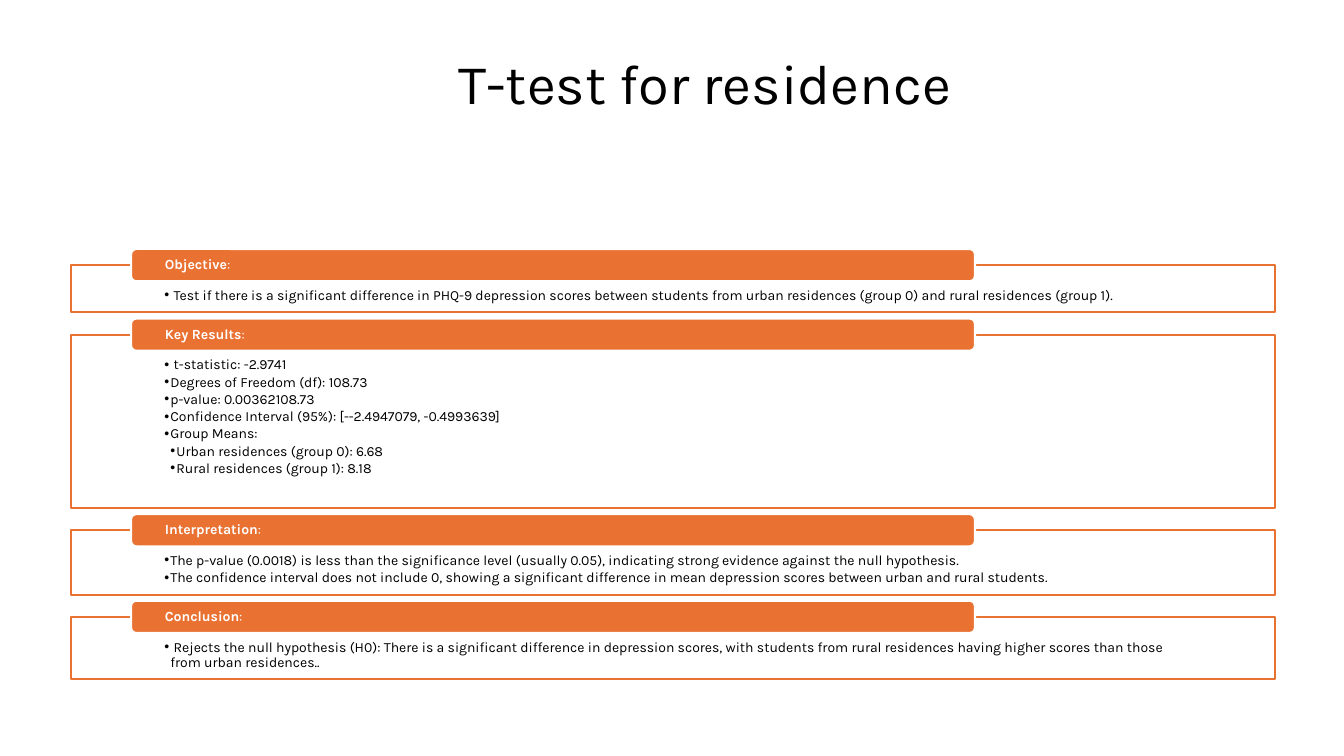
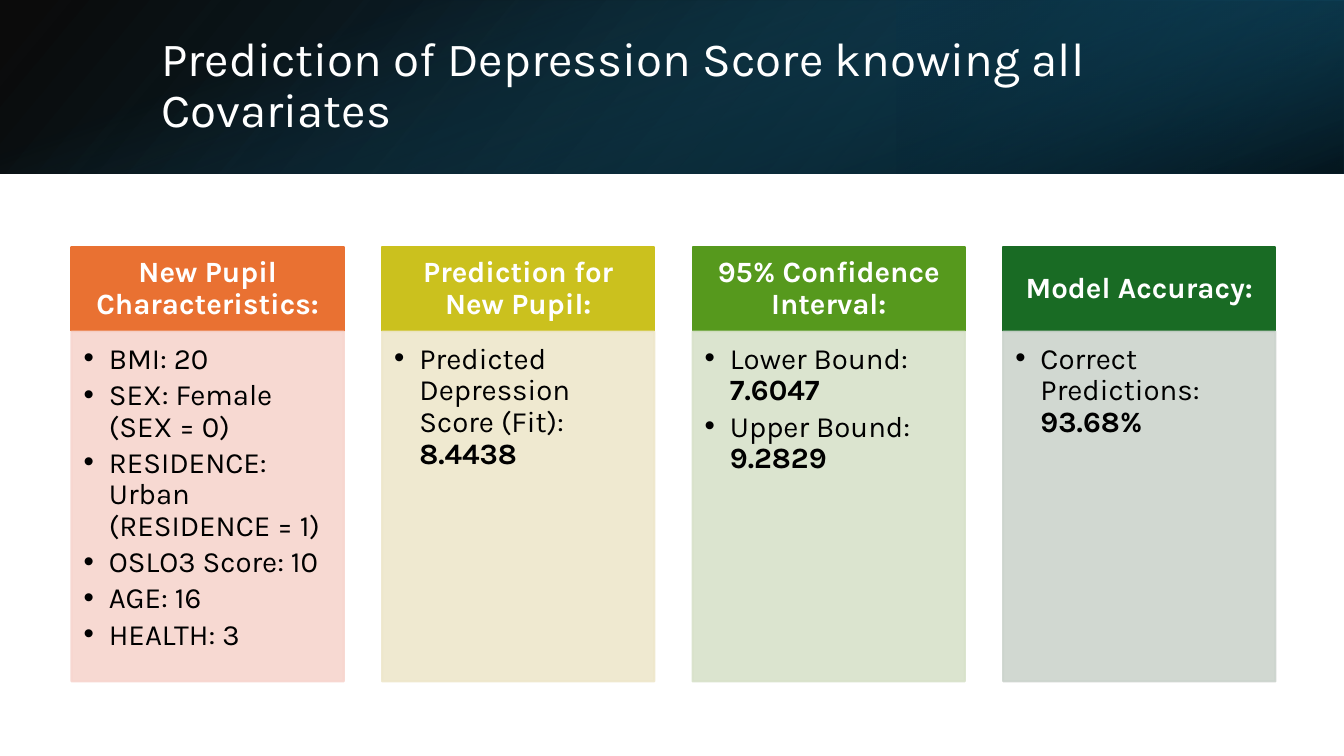
from lxml import etree
from pptx import Presentation
from pptx.dml.color import RGBColor
from pptx.enum.shapes import MSO_SHAPE as SHAPE
from pptx.enum.text import MSO_ANCHOR as ANCHOR, PP_ALIGN as ALIGN
from pptx.oxml import parse_xml
from pptx.oxml.ns import nsdecls, qn
from pptx.util import Inches, Pt

FONT = "Karla"
BLACK = RGBColor(0x00, 0x00, 0x00)
WHITE = RGBColor(0xFF, 0xFF, 0xFF)
ORANGE = RGBColor(0xE9, 0x71, 0x32)
OLIVE = RGBColor(0xCB, 0xC1, 0x1E)
GREEN = RGBColor(0x56, 0x99, 0x1D)
FOREST = RGBColor(0x19, 0x6B, 0x24)
PINK = RGBColor(0xF7, 0xD5, 0xCE)
CREAM = RGBColor(0xEE, 0xE7, 0xCB)
MINT = RGBColor(0xD8, 0xE2, 0xCA)
GREY = RGBColor(0xCC, 0xD4, 0xCD)
NAVY = RGBColor(0x0B, 0x30, 0x41)
TEAL = RGBColor(0x10, 0x48, 0x62)
BLUE = RGBColor(0x15, 0x60, 0x82)


def add_box(s, at, fill, line=None, kind=SHAPE.RECTANGLE, opacity=100,
            insets=(0, 0, 0, 0), anchor=ANCHOR.TOP):
    sp = s.shapes.add_shape(kind, *map(Inches, at))
    sp.shadow.inherit = False
    sp.fill.solid()
    sp.fill.fore_color.rgb = fill
    if line is None:
        sp.line.fill.background()
    else:
        sp.line.color.rgb = line
        sp.line.width = Pt(1.5)
    if opacity < 100:
        for clr in sp._element.spPr.iter(qn("a:srgbClr")):
            if clr.get("val") == str(fill):
                etree.SubElement(clr, qn("a:alpha"), val=str(opacity * 1000))
    tf = sp.text_frame
    tf.word_wrap = True
    tf.vertical_anchor = anchor
    (tf.margin_left, tf.margin_top,
     tf.margin_right, tf.margin_bottom) = map(Inches, insets)
    return sp


def add_text(tf, text, value="", size=10, color=BLACK, align=ALIGN.LEFT,
             bold=False, value_bold=True, indent=0, level=0):
    """Add a paragraph: text, then a value in its own weight; indent adds a bullet."""
    p = tf.paragraphs[0]
    if p.runs:
        p = tf.add_paragraph()
    p.alignment = align
    p.line_spacing = 0.9
    p.space_after = Pt(size * 0.15)
    p.level = level
    if indent:
        pPr = p._p.get_or_add_pPr()
        pPr.set("marL", str(Inches(indent * level)))
        pPr.set("indent", str(-Inches(indent)))
        etree.SubElement(pPr, qn("a:buFont"), typeface="Arial")
        etree.SubElement(pPr, qn("a:buChar"), char="•")
    for part, weight in ((text, bold), (value, value_bold)):
        if part:
            r = p.add_run()
            r.text = part
            r.font.name = FONT
            r.font.size = Pt(size)
            r.font.bold = weight
            r.font.color.rgb = color


prs = Presentation()
prs.slide_width = Inches(13.33)
prs.slide_height = Inches(7.5)
blank = prs.slide_layouts[6]
ttest, prediction = (prs.slides.add_slide(blank) for _ in range(2))

# T-test: framed sections with a tab; bullets are (level, text)
sections = [
    ("Objective", 0.47, [
        (1, " Test if there is a significant difference in PHQ-9 depression scores between "
            "students from urban residences (group 0) and rural residences (group 1).")]),
    ("Key Results", 1.72, [
        (1, " t-statistic: -2.9741"),
        (1, "Degrees of Freedom (df): 108.73"),
        (1, "p-value: 0.00362108.73"),
        (1, "Confidence Interval (95%): [--2.4947079, -0.4993639]"),
        (1, "Group Means:"),
        (2, "Urban residences (group 0): 6.68"),
        (2, "Rural residences (group 1): 8.18")]),
    ("Interpretation", 0.64, [
        (1, "The p-value (0.0018) is less than the significance level (usually 0.05), "
            "indicating strong evidence against the null hypothesis."),
        (1, "The confidence interval does not include 0, showing a significant difference "
            "in mean depression scores between urban and rural students.")]),
    ("Conclusion", 0.62, [
        (1, " Rejects the null hypothesis (H0): There is a significant difference in "
            "depression scores, with students from rural residences having higher scores "
            "than those from urban residences..")]),
]
top = 2.63
for heading, height, bullets in sections:
    frame = add_box(ttest, (0.7, top, 11.95, height), WHITE, ORANGE, opacity=90,
                    insets=(0.93, 0.23, 0.93, 0.08))
    for level, text in bullets:
        add_text(frame.text_frame, text, indent=0.06, level=level)
    tab = add_box(ttest, (1.3, top - 0.16, 8.37, 0.32), ORANGE, WHITE,
                  SHAPE.ROUNDED_RECTANGLE, insets=(0.32, 0, 0.32, 0), anchor=ANCHOR.MIDDLE)
    add_text(tab.text_frame, heading, ":", color=WHITE, bold=True, value_bold=False)
    top += height + 0.22

# Prediction: header band of layered gradients, stops are (position, colour, opacity)
layers = [
    ((0, 0, 13.33, 1.72), 0, True, 140, [(0, BLACK, 96), (100, TEAL, 100)]),
    ((8.89, 0, 4.44, 1.72), 180, True, 320, [(19, NAVY, 68), (100, BLUE, 79)]),
    ((5.8, -5.8, 1.72, 13.33), 90, False, 340, [(23, BLUE, 0), (99, BLACK, 74)]),
]
for at, rotation, flipped, angle, stops in layers:
    sp = add_box(prediction, at, BLACK)
    sp.rotation = rotation
    spPr = sp._element.spPr
    if flipped:
        spPr.find(qn("a:xfrm")).set("flipH", "1")
    gs = "".join(f'<a:gs pos="{pos * 1000}"><a:srgbClr val="{color}">'
                 f'<a:alpha val="{opacity * 1000}"/></a:srgbClr></a:gs>'
                 for pos, color, opacity in stops)
    spPr.replace(spPr.find(qn("a:solidFill")), parse_xml(
        f'<a:gradFill rotWithShape="1" {nsdecls("a")}><a:gsLst>{gs}</a:gsLst>'
        f'<a:lin ang="{angle * 60000}" scaled="0"/></a:gradFill>'))

# Prediction: four cards, bullets are (label, bold value)
cards = [
    ("New Pupil Characteristics:", ORANGE, PINK, [
        ("BMI: 20", ""), ("SEX: Female (SEX = 0)", ""),
        ("RESIDENCE: Urban (RESIDENCE = 1)", ""), ("OSLO3 Score: 10", ""),
        ("AGE: 16", ""), ("HEALTH: 3", "")]),
    ("Prediction for New Pupil:", OLIVE, CREAM, [
        ("Predicted Depression Score (Fit): ", "8.4438")]),
    ("95% Confidence Interval:", GREEN, MINT, [
        ("Lower Bound: ", "7.6047"), ("Upper Bound: ", "9.2829")]),
    ("Model Accuracy:", FOREST, GREY, [
        ("Correct Predictions: ", "93.68%")]),
]
for i, (heading, dark, light, bullets) in enumerate(cards):
    left = 0.71 + 3.08 * i
    head = add_box(prediction, (left, 2.45, 2.7, 0.83), dark, dark,
                   insets=(0.16, 0.09, 0.16, 0.09), anchor=ANCHOR.MIDDLE)
    add_text(head.text_frame, heading, size=21, color=WHITE, align=ALIGN.CENTER, bold=True)
    body = add_box(prediction, (left, 3.29, 2.7, 3.47), light, light, opacity=90,
                   insets=(0.12, 0.12, 0.16, 0.18))
    for label, value in bullets:
        add_text(body.text_frame, label, value, size=21, indent=0.25, level=1)

# Titles
titles = [
    (ttest, "T-test for residence", 40, BLACK, ALIGN.CENTER),
    (prediction, "Prediction of Depression Score knowing all Covariates", 34, WHITE, ALIGN.LEFT),
]
for s, text, size, color, align in titles:
    tf = s.shapes.add_textbox(Inches(1.5), Inches(0.38), Inches(10.98), Inches(0.96)).text_frame
    tf.word_wrap = True
    tf.vertical_anchor = ANCHOR.MIDDLE
    add_text(tf, text, size=size, color=color, align=align)
    tf.paragraphs[0].space_after = Pt(0)

prs.save("out.pptx")
